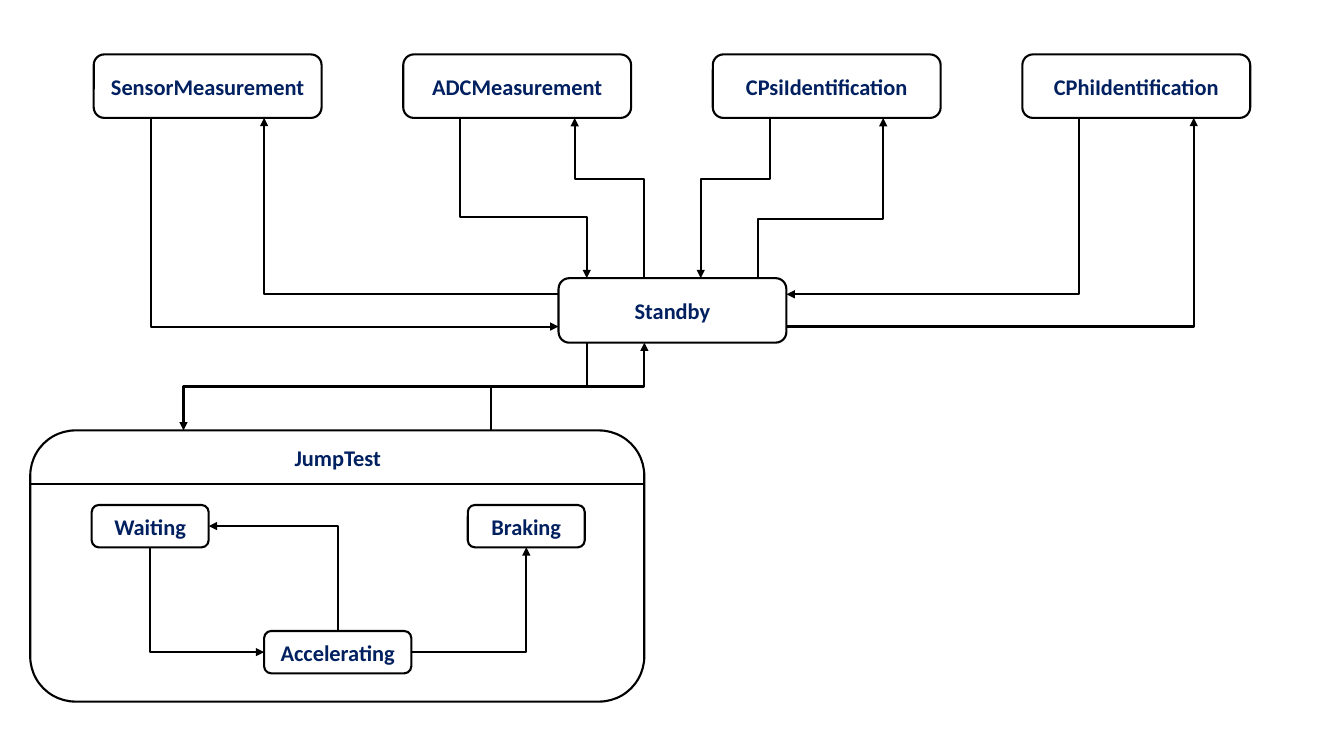
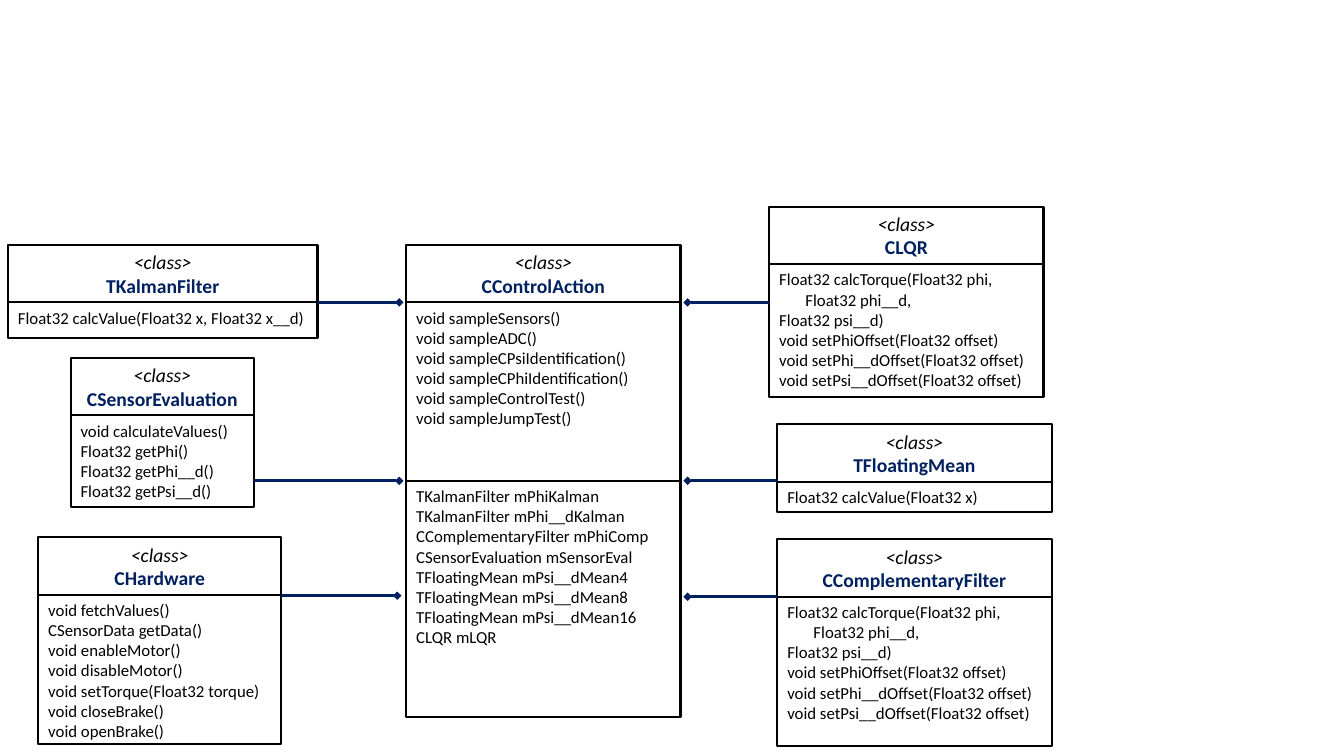
from dataclasses import dataclass

from pptx import Presentation
from pptx.dml.color import RGBColor
from pptx.enum.shapes import MSO_CONNECTOR, MSO_SHAPE
from pptx.enum.text import MSO_ANCHOR, PP_ALIGN
from pptx.oxml.ns import qn
from pptx.oxml.xmlchemy import OxmlElement
from pptx.util import Emu, Pt

SCALE = 9144  # EMU per px, 100 px to the inch
FONT = "Calibri"
BLACK, WHITE, NAVY = "000000", "FFFFFF", "002060"
OUTLINE = 1.5
HEADER_HEIGHT = 57
ARGUMENT_INDENT = 26


@dataclass
class Box:
    left: int
    top: int
    width: int
    height: int

    def at(self, across, down):
        """Point at the given fractions of the width and height."""
        return (round(self.left + across * self.width),
                round(self.top + down * self.height))

    def emu(self):
        return [px(n) for n in (self.left, self.top, self.width, self.height)]


def px(length):
    return Emu(round(length * SCALE))


def color(value):
    return RGBColor.from_string(value)


def style_paragraph(paragraph, size, tint=BLACK, bold=False, italic=False,
                    align=PP_ALIGN.LEFT):
    paragraph.alignment = align
    for run in paragraph.runs:
        font = run.font
        font.name, font.size = FONT, Pt(size)
        font.bold, font.italic = bold, italic
        font.color.rgb = color(tint)


def add_outline(slide, kind, box):
    shape = slide.shapes.add_shape(kind, *box.emu())
    shape.shadow.inherit = False
    shape.fill.solid()
    shape.fill.fore_color.rgb = color(WHITE)
    shape.line.color.rgb = color(BLACK)
    shape.line.width = Pt(OUTLINE)
    shape.text_frame.word_wrap = True
    return shape


def write_state_name(frame, name):
    frame.text = name
    frame.word_wrap = True
    frame.vertical_anchor = MSO_ANCHOR.MIDDLE
    style_paragraph(frame.paragraphs[0], 16, NAVY, bold=True,
                    align=PP_ALIGN.CENTER)


def add_state(slide, box, name):
    shape = add_outline(slide, MSO_SHAPE.ROUNDED_RECTANGLE, box)
    write_state_name(shape.text_frame, name)


def add_line(slide, start, end, kind=MSO_CONNECTOR.STRAIGHT, tint=BLACK,
             width=OUTLINE, tip=None):
    line = slide.shapes.add_connector(kind, *map(px, (*start, *end)))
    line.line.color.rgb = color(tint)
    line.line.width = Pt(width)
    properties = line._element.spPr
    if tip:
        tail = OxmlElement("a:tailEnd")
        tail.set("type", tip)
        properties.find(qn("a:ln")).append(tail)
    properties.append(OxmlElement("a:effectLst"))
    return line


def add_transition(slide, start, end, bend=None, vertical_first=True):
    """Right-angled arrow: one corner, or two at the fraction bend of its way."""
    (x0, y0), (x1, y1) = start, end
    dx, dy = x1 - x0, y1 - y0
    turn = 0
    if vertical_first:
        # A bent connector starts horizontally, so it is laid out unrotated.
        turn = 90 if dx * dy < 0 else 270
        dx, dy = (dy, -dx) if turn == 90 else (-dy, dx)
    cx, cy = (x0 + x1) / 2, (y0 + y1) / 2
    arrow = add_line(slide, (cx - dx / 2, cy - dy / 2),
                     (cx + dx / 2, cy + dy / 2), MSO_CONNECTOR.ELBOW,
                     tip="triangle")
    properties = arrow._element.spPr
    if turn:
        properties.find(qn("a:xfrm")).set("rot", str(turn * 60000))
    geometry = properties.find(qn("a:prstGeom"))
    if bend is None:
        geometry.set("prst", "bentConnector2")
    else:
        guide = OxmlElement("a:gd")
        guide.set("name", "adj1")
        guide.set("fmla", f"val {round(bend * 100000)}")
        geometry.find(qn("a:avLst")).append(guide)


def add_class(slide, left, top, width, name, *sections):
    """Class header with (height, member lines) sections stacked below it."""
    header = add_outline(slide, MSO_SHAPE.RECTANGLE,
                         Box(left, top, width, HEADER_HEIGHT)).text_frame
    header.text = f"<class>\n{name}"
    header.vertical_anchor = MSO_ANCHOR.MIDDLE
    stereotype, title = header.paragraphs
    style_paragraph(stereotype, 14, italic=True, align=PP_ALIGN.CENTER)
    style_paragraph(title, 14, NAVY, bold=True, align=PP_ALIGN.CENTER)
    top += HEADER_HEIGHT
    for height, members in sections:
        body = add_outline(slide, MSO_SHAPE.RECTANGLE,
                           Box(left, top, width, height)).text_frame
        body.text = "\n".join(members)
        body.vertical_anchor = MSO_ANCHOR.TOP
        for paragraph in body.paragraphs:
            style_paragraph(paragraph, 12)
            if paragraph.text.startswith("Float32 phi__d"):
                paragraph._p.get_or_add_pPr().set(
                    "marL", str(px(ARGUMENT_INDENT)))
        top += height


def build_state_diagram(slide):
    names = ("SensorMeasurement", "ADCMeasurement",
             "CPsiIdentification", "CPhiIdentification")
    activities = [Box(93 + 307 * i, 54, 226, 63) for i in range(len(names))]
    sensor, adc, psi, phi = activities
    standby = Box(554, 276, 226, 64)
    jump_test = Box(30, 427, 609, 269)
    waiting = Box(91, 501, 116, 42)
    braking = Box(464, 501, 116, 42)
    accelerating = Box(262, 626, 146, 42)

    add_outline(slide, MSO_SHAPE.ROUNDED_RECTANGLE, jump_test)
    add_line(slide, (30, 480), (640, 480))
    title = slide.shapes.add_textbox(*Box(225, 435, 220, 37).emu())
    write_state_name(title.text_frame, "JumpTest")

    for box, name in zip(activities, names):
        add_state(slide, box, name)
    for box, name in ((standby, "Standby"), (waiting, "Waiting"),
                      (braking, "Braking"), (accelerating, "Accelerating")):
        add_state(slide, box, name)

    for start, end, bend in (
        (sensor.at(0.25, 1), standby.at(0, 0.75), None),
        (adc.at(0.25, 1), standby.at(0.125, 0), 0.62),
        (standby.at(0.375, 0), adc.at(0.75, 1), 0.62),
        (psi.at(0.25, 1), standby.at(0.625, 0), 0.38),
        (standby.at(0.875, 0), psi.at(0.75, 1), 0.37),
        (phi.at(0.25, 1), standby.at(1, 0.25), None),
        (standby.at(0.125, 1), jump_test.at(0.25, 0), 0.5),
        (jump_test.at(0.75, 0), standby.at(0.375, 1), 0.5),
        (waiting.at(0.5, 1), accelerating.at(0, 0.5), None),
        (accelerating.at(0.5, 0), waiting.at(1, 0.5), None),
    ):
        add_transition(slide, start, end, bend)
    for start, end in (
        (standby.at(0, 0.25), sensor.at(0.75, 1)),
        (standby.at(1, 0.75), phi.at(0.75, 1)),
        (accelerating.at(1, 0.5), braking.at(0.5, 1)),
    ):
        add_transition(slide, start, end, vertical_first=False)


def build_class_diagram(slide):
    torque_members = (
        "Float32 calcTorque(Float32 phi,", "Float32 phi__d,", "Float32 psi__d)",
        "void setPhiOffset(Float32 offset)",
        "void setPhi__dOffset(Float32 offset)",
        "void setPsi__dOffset(Float32 offset)")
    add_class(slide, 8, 243, 307, "TKalmanFilter",
              (35, ["Float32 calcValue(Float32 x, Float32 x__d)"]))
    add_class(slide, 70, 355, 182, "CSensorEvaluation",
              (91, ["void calculateValues()", "Float32 getPhi()",
                    "Float32 getPhi__d()", "Float32 getPsi__d()"]))
    add_class(slide, 38, 533, 241, "CHardware",
              (148, ["void fetchValues()", "CSensorData getData()",
                     "void enableMotor()", "void disableMotor()",
                     "void setTorque(Float32 torque)",
                     "void closeBrake()", "void openBrake()"]))
    add_class(slide, 403, 243, 272, "CControlAction",
              (177, ["void sampleSensors()", "void sampleADC()",
                     "void sampleCPsiIdentification()",
                     "void sampleCPhiIdentification()",
                     "void sampleControlTest()", "void sampleJumpTest()"]),
              (234, ["TKalmanFilter mPhiKalman", "TKalmanFilter mPhi__dKalman",
                     "CComplementaryFilter mPhiComp",
                     "CSensorEvaluation mSensorEval",
                     "TFloatingMean mPsi__dMean4", "TFloatingMean mPsi__dMean8",
                     "TFloatingMean mPsi__dMean16", "CLQR mLQR"]))
    add_class(slide, 763, 205, 272, "CLQR", (132, torque_members))
    add_class(slide, 771, 421, 272, "TFloatingMean",
              (30, ["Float32 calcValue(Float32 x)"]))
    add_class(slide, 771, 535, 272, "CComplementaryFilter",
              (148, torque_members))

    for part_x, owner_x, y in ((315, 396, 300), (252, 396, 477),
                               (279, 394, 591), (763, 682, 300),
                               (771, 682, 477), (771, 682, 592)):
        add_line(slide, (part_x, y), (owner_x, y), tint=NAVY, width=2,
                 tip="diamond")


def main():
    deck = Presentation()
    deck.slide_width, deck.slide_height = px(1333), px(750)
    blank = deck.slide_layouts[6]
    for build in (build_state_diagram, build_class_diagram):
        build(deck.slides.add_slide(blank))
    deck.save("out.pptx")


if __name__ == "__main__":
    main()
